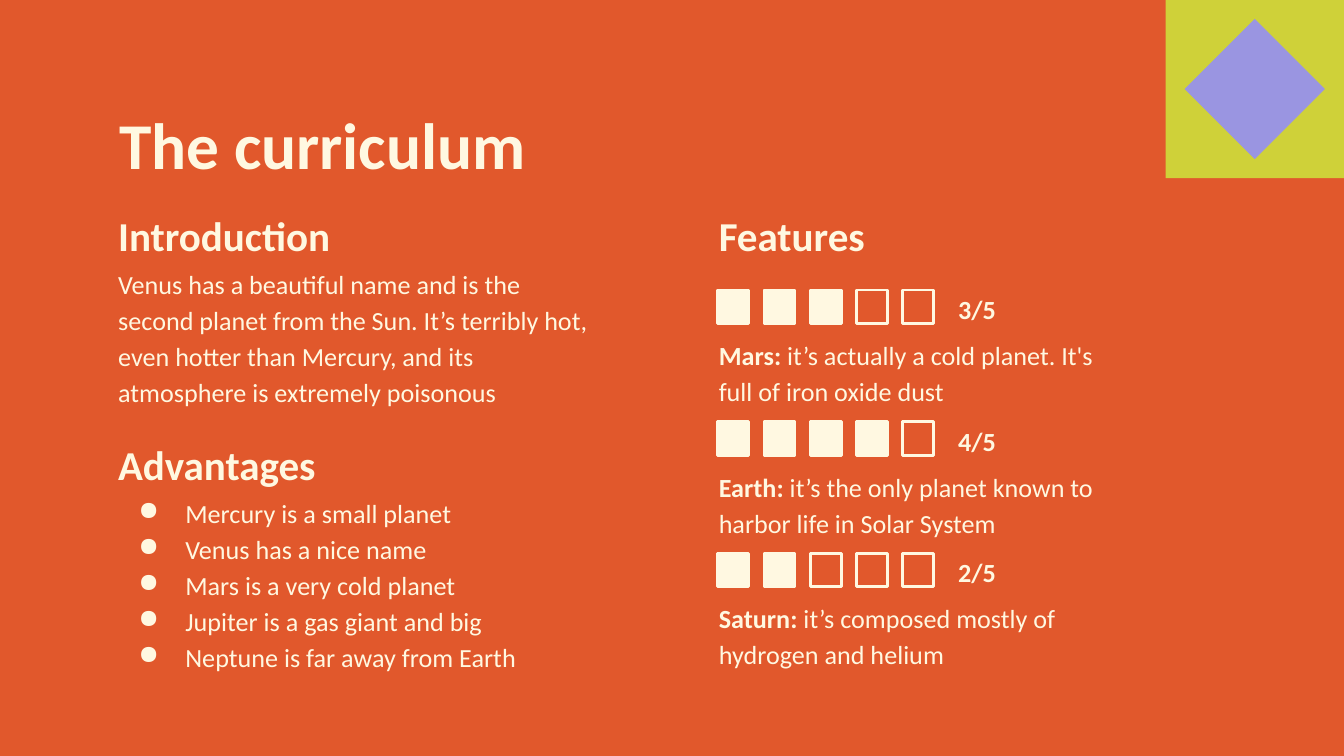
from dataclasses import dataclass

from lxml.etree import SubElement
from pptx import Presentation
from pptx.dml.color import RGBColor as Rgb
from pptx.enum.shapes import MSO_SHAPE as Preset
from pptx.enum.text import MSO_ANCHOR as Anchor
from pptx.oxml.ns import qn
from pptx.slide import Slide
from pptx.util import Pt


@dataclass(frozen=True)
class Theme:
    background: str = "E1582C"
    ink: str = "FFF8E1"
    corner: str = "CFD139"
    diamond: str = "9A95E1"
    font: str = "Calibri"
    title_size: float = 35
    heading_size: float = 22
    body_size: float = 14
    body_spacing: float = 1.15
    inset: float = 7.2
    outline: float = 1.5


@dataclass(frozen=True)
class Area:
    left: float
    top: float
    width: float
    height: float

    def lengths(self) -> tuple[Pt, ...]:
        return Pt(self.left), Pt(self.top), Pt(self.width), Pt(self.height)


@dataclass(frozen=True)
class Words:
    text: str
    bold: bool = False


@dataclass(frozen=True)
class Feature:
    planet: str
    description: str
    score: int


THEME = Theme()
LEFT_COLUMN, LEFT_WIDTH = 56.2, 272.2
RIGHT_COLUMN, RIGHT_WIDTH = 378, 223.2
HEADING_HEIGHT = 27.4
FIRST_FEATURE_TOP, FEATURE_PITCH = 155.4, 70.5
FIRST_BOX_LEFT, BOX_PITCH = 384.5, 24.8
BOX_WIDTH, BOX_HEIGHT = 16.6, 18
MAX_SCORE = 5

INTRODUCTION = (
    "Venus has a beautiful name and is the second planet from the Sun. "
    "It’s terribly hot, even hotter than Mercury, and its atmosphere is "
    "extremely poisonous"
)
ADVANTAGES = [
    "Mercury is a small planet",
    "Venus has a nice name",
    "Mars is a very cold planet",
    "Jupiter is a gas giant and big",
    "Neptune is far away from Earth",
]
FEATURES = [
    Feature("Mars:", " it’s actually a cold planet. It's full of iron oxide dust", 3),
    Feature("Earth:", " it’s the only planet known to harbor life in Solar System", 4),
    Feature("Saturn:", " it’s composed mostly of hydrogen and helium", 2),
]


def add_bullet(paragraph) -> None:
    properties = paragraph._p.get_or_add_pPr()
    properties.set("marL", str(Pt(36)))
    properties.set("indent", str(Pt(-25.2)))
    colour = SubElement(properties, qn("a:buClr"))
    SubElement(colour, qn("a:srgbClr")).set("val", THEME.ink)
    SubElement(properties, qn("a:buChar")).set("char", "●")


def add_text(
    slide: Slide,
    area: Area,
    paragraphs: list[list[Words]],
    size: float = THEME.body_size,
    anchor: Anchor = Anchor.TOP,
    spacing: float = THEME.body_spacing,
    bulleted: bool = False,
) -> None:
    frame = slide.shapes.add_textbox(*area.lengths()).text_frame
    frame.word_wrap = True
    frame.vertical_anchor = anchor
    frame.margin_left = frame.margin_right = Pt(THEME.inset)
    frame.margin_top = frame.margin_bottom = Pt(THEME.inset)
    for index, line in enumerate(paragraphs):
        paragraph = frame.add_paragraph() if index else frame.paragraphs[0]
        if bulleted:
            add_bullet(paragraph)
        paragraph.line_spacing = spacing
        for words in line:
            run = paragraph.add_run()
            run.text = words.text
            run.font.name = THEME.font
            run.font.size = Pt(size)
            run.font.bold = words.bold
            run.font.color.rgb = Rgb.from_string(THEME.ink)


def add_heading(slide: Slide, area: Area, text: str, anchor: Anchor) -> None:
    add_text(slide, area, [[Words(text, True)]], THEME.heading_size, anchor, 1)


def add_block(
    slide: Slide,
    preset: Preset,
    area: Area,
    fill: str | None,
    outline: str | None = None,
) -> None:
    block = slide.shapes.add_shape(preset, *area.lengths())
    block.shadow.inherit = False
    if fill:
        block.fill.solid()
        block.fill.fore_color.rgb = Rgb.from_string(fill)
    else:
        block.fill.background()
    if outline:
        block.line.color.rgb = Rgb.from_string(outline)
        block.line.width = Pt(THEME.outline)
    else:
        block.line.fill.background()


def add_feature(slide: Slide, feature: Feature, top: float) -> None:
    add_text(
        slide,
        Area(RIGHT_COLUMN, top + 16.8, RIGHT_WIDTH, 43.2),
        [[Words(feature.planet, True), Words(feature.description)]],
    )
    for step in range(MAX_SCORE):
        box = Area(FIRST_BOX_LEFT + step * BOX_PITCH, top, BOX_WIDTH, BOX_HEIGHT)
        fill = THEME.ink if step < feature.score else None
        add_block(slide, Preset.RECTANGLE, box, fill, THEME.ink)
    add_text(
        slide,
        Area(506.2, top, 64.8, BOX_HEIGHT),
        [[Words(f"{feature.score}/{MAX_SCORE}", True)]],
        anchor=Anchor.MIDDLE,
    )


def main() -> None:
    deck = Presentation()
    deck.slide_width, deck.slide_height = Pt(720), Pt(405)
    slide = deck.slides.add_slide(deck.slide_layouts[6])
    slide.background.fill.solid()
    slide.background.fill.fore_color.rgb = Rgb.from_string(THEME.background)

    add_block(slide, Preset.RECTANGLE, Area(624.5, 0, 95.5, 95.5), THEME.corner)
    add_block(slide, Preset.DIAMOND, Area(634.6, 10.1, 75.2, 75.2), THEME.diamond)

    title = [[Words("The curriculum", True)]]
    add_text(slide, Area(56.7, 42.5, 607, 45.4), title, THEME.title_size)

    introduction = Area(LEFT_COLUMN, 118.8, LEFT_WIDTH, HEADING_HEIGHT)
    add_heading(slide, introduction, "Introduction", Anchor.BOTTOM)
    summary = Area(LEFT_COLUMN, 133.9, LEFT_WIDTH, 83.5)
    add_text(slide, summary, [[Words(INTRODUCTION)]])

    advantages = Area(LEFT_COLUMN, 234.7, LEFT_WIDTH, HEADING_HEIGHT)
    add_heading(slide, advantages, "Advantages", Anchor.MIDDLE)
    benefits = Area(LEFT_COLUMN, 256.6, LEFT_WIDTH, 100.8)
    add_text(slide, benefits, [[Words(item)] for item in ADVANTAGES], bulleted=True)

    features = Area(RIGHT_COLUMN, 118.8, RIGHT_WIDTH, HEADING_HEIGHT)
    add_heading(slide, features, "Features", Anchor.BOTTOM)
    for row, feature in enumerate(FEATURES):
        add_feature(slide, feature, FIRST_FEATURE_TOP + row * FEATURE_PITCH)

    deck.save("out.pptx")


if __name__ == "__main__":
    main()
